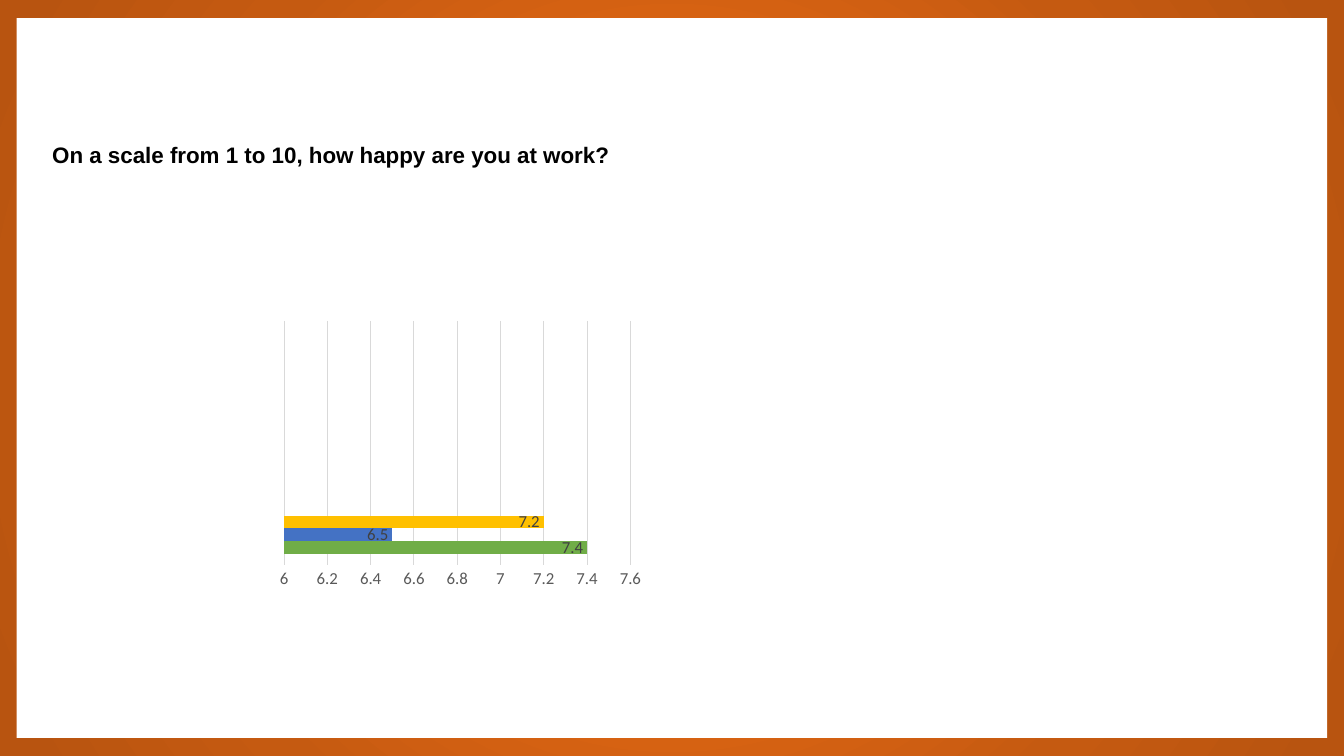
from dataclasses import dataclass

from pptx import Presentation
from pptx.chart.data import CategoryChartData
from pptx.dml.color import RGBColor
from pptx.enum.chart import XL_CHART_TYPE as ChartType
from pptx.enum.chart import XL_LABEL_POSITION as LabelPosition
from pptx.enum.chart import XL_TICK_MARK as TickMark
from pptx.enum.shapes import MSO_SHAPE as ShapeType
from pptx.oxml import parse_xml
from pptx.oxml.ns import nsdecls
from pptx.util import Pt


@dataclass(frozen=True)
class Theme:
    # Percent from the centre outwards, colour
    backdrop: tuple = ((0, "EA6B14"), (23, "EA6B14"), (69, "C55A11"), (97, "B85410"))
    panel: str = "FFFFFF"
    ink: str = "000000"
    label: str = "404040"
    axis: str = "595959"
    grid: str = "D9D9D9"
    question_font: str = "Arial"
    chart_font: str = "Calibri"
    question_size: int = 16
    chart_size: int = 10
    label_size: int = 12


THEME = Theme()
CATEGORIES = ("1", "2", "3", "4")
SCORES = (("Series 1", 7.4, "70AD47"), ("Series 2", 6.5, "4472C4"), ("Series 3", 7.2, "FFC000"))
PLOT_AREA = {"x": 0.073, "y": 0.305, "w": 0.872, "h": 0.609}


def color(value):
    return RGBColor.from_string(value)


def style_font(font, name, size, ink):
    font.name = name
    font.size = Pt(size)
    font.color.rgb = color(ink)


# Orange radial backdrop with a white panel
def draw_backdrop(page, left, top, width, height):
    page.background.fill.gradient()
    gradient = page.element.xpath(".//p:bgPr/a:gradFill")[0]
    stops = "".join(
        f'<a:gs pos="{percent * 1000}"><a:srgbClr val="{value}"/></a:gs>'
        for percent, value in THEME.backdrop
    )
    radial = parse_xml(
        f'<a:gradFill {nsdecls("a")} rotWithShape="1"><a:gsLst>{stops}</a:gsLst>'
        '<a:path path="circle"><a:fillToRect l="50000" t="50000" r="50000" b="50000"/>'
        "</a:path></a:gradFill>"
    )
    gradient.getparent().replace(gradient, radial)

    panel = page.shapes.add_shape(
        ShapeType.RECTANGLE, Pt(left), Pt(top), Pt(width), Pt(height)
    )
    panel.shadow.inherit = False
    panel.fill.solid()
    panel.fill.fore_color.rgb = color(THEME.panel)
    panel.line.fill.background()


# Survey question
def draw_question(page, left, top, width, height):
    box = page.shapes.add_textbox(Pt(left), Pt(top), Pt(width), Pt(height))
    box.text_frame.word_wrap = True
    para = box.text_frame.paragraphs[0]
    run = para.add_run()
    run.text = "On a scale from 1 to 10, how happy are you at work?"
    run.font.bold = True
    style_font(run.font, THEME.question_font, THEME.question_size, THEME.ink)


# Only the first category carries scores
def draw_scores(page, left, top, width, height):
    data = CategoryChartData()
    data.categories = CATEGORIES
    for name, score, _ in SCORES:
        data.add_series(name, [score] + [None] * (len(CATEGORIES) - 1))
    chart = page.shapes.add_chart(
        ChartType.BAR_CLUSTERED, Pt(left), Pt(top), Pt(width), Pt(height), data
    ).chart
    chart.has_title = False
    chart.has_legend = False
    style_font(chart.font, THEME.chart_font, THEME.chart_size, THEME.ink)
    place_plot(chart)
    style_axes(chart)

    # Bars and value labels
    plot = chart.plots[0]
    plot.gap_width = 182
    plot.vary_by_categories = False
    for series, (_, _, fill) in zip(plot.series, SCORES):
        series.format.fill.solid()
        series.format.fill.fore_color.rgb = color(fill)
        labels = series.data_labels
        labels.show_value = True
        labels.position = LabelPosition.INSIDE_END
        style_font(labels.font, THEME.chart_font, THEME.label_size, THEME.label)


# Fixed inner plot area, in fractions of the chart
def place_plot(chart):
    area = chart.element.xpath(".//c:plotArea")[0]
    for layout in area.xpath("./c:layout"):
        area.remove(layout)
    modes = '<c:xMode val="edge"/><c:yMode val="edge"/>'
    sides = "".join(f'<c:{side} val="{part}"/>' for side, part in PLOT_AREA.items())
    area.insert(0, parse_xml(
        f'<c:layout {nsdecls("c")}><c:manualLayout><c:layoutTarget val="inner"/>'
        f"{modes}{sides}</c:manualLayout></c:layout>"
    ))


def style_axes(chart):
    chart.category_axis.visible = False
    axis = chart.value_axis
    axis.minimum_scale = 6
    axis.maximum_scale = 7.6
    axis.major_unit = 0.2
    axis.major_tick_mark = TickMark.NONE
    axis.minor_tick_mark = TickMark.NONE
    axis.format.line.fill.background()
    style_font(axis.tick_labels.font, THEME.chart_font, THEME.label_size, THEME.axis)
    grid = axis.major_gridlines.format.line
    grid.width = Pt(0.75)
    grid.color.rgb = color(THEME.grid)


def main():
    deck = Presentation()
    deck.slide_width = Pt(960)
    deck.slide_height = Pt(540)
    page = deck.slides.add_slide(deck.slide_layouts[6])
    draw_backdrop(page, 12, 13, 936, 514)
    draw_question(page, 30.2, 97.2, 434, 26.6)
    draw_scores(page, 182.2, 141.8, 283.7, 286.6)
    deck.save("out.pptx")


if __name__ == "__main__":
    main()
